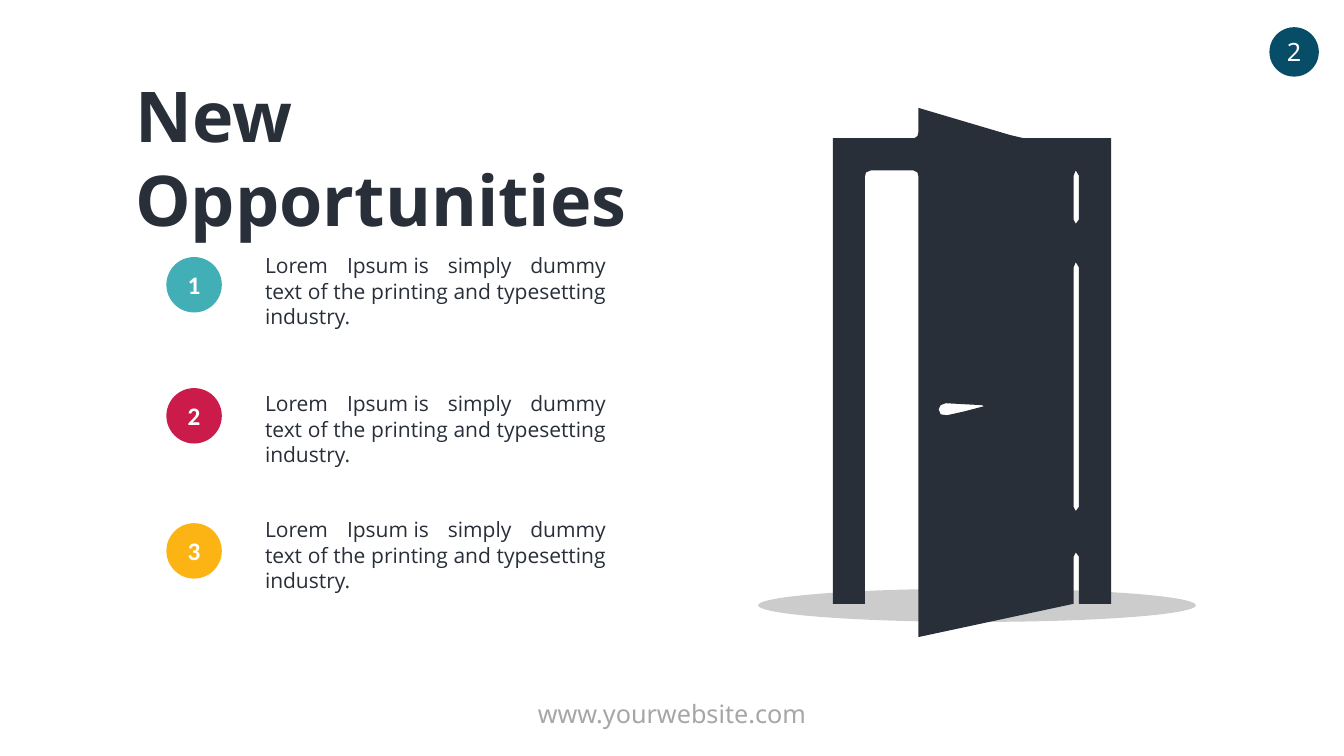
from dataclasses import dataclass
from lxml import etree
from pptx import Presentation
from pptx.dml.color import RGBColor
from pptx.enum import shapes, text
from pptx.oxml import ns
from pptx.util import Inches, Pt


@dataclass(frozen=True)
class Theme:
    ink: str = "282F39"
    white: str = "FFFFFF"
    badge: str = "074D67"
    grey: str = "A6A6A6"
    shade: str = "000000"
    head: str = "Noto Sans"
    body: str = "Open Sans"
    digit: str = "Calibri"
    big: int = 50
    mid: int = 18
    small: int = 15


T = Theme()

# Content
TITLE = "New Opportunities"
LOREM = ("Lorem Ipsum\u00a0is simply dummy text of the printing "
         "and typesetting industry.")
SITE = "www.yourwebsite.com"
PAGE = "2"
ITEMS = [  # circle colour, circle top, text top
    ("42AFB6", 2.55, 2.46),
    ("CB1B4A", 3.85, 3.83),
    ("FCB414", 5.19, 5.08),
]

# Door: frame and leaf, then the gaps by the hinges and the handle
FRAME = [
    (8.58, 5.99), (8.26, 5.99), (8.26, 1.37), (9.07, 1.37), (9.1, 1.35),
    (9.11, 1.31), (9.11, 1.07), (10.02, 1.34), (10.15, 1.37), (11.02, 1.37),
    (11.02, 5.99), (10.7, 5.99), (10.7, 5.52), (10.67, 5.48), (10.65, 5.52),
    (10.65, 5.99), (9.11, 6.32), (9.11, 1.75), (9.1, 1.71), (9.06, 1.69),
    (8.64, 1.69), (8.59, 1.71), (8.58, 1.75),
]
HANDLE = [
    (9.76, 4.03), (9.74, 4.02), (9.38, 4), (9.33, 4.02), (9.31, 4.06),
    (9.33, 4.11), (9.39, 4.12), (9.57, 4.08),
]
GAPS = [(1.69, 2.22), (2.6, 5.07)]  # top, bottom


def gap(top, end):
    left, mid, right = 10.65, 10.67, 10.7
    return [(mid, top), (left, top + 0.05), (left, end - 0.04),
            (mid, end), (right, end - 0.04), (right, top + 0.05)]


# Helpers
def color(hue):
    return RGBColor.from_string(hue)


def write(box, words, font, size, hue, bold=False, align="LEFT", wrap=True):
    frame = box.text_frame
    frame.text = words
    frame.word_wrap = wrap
    para = frame.paragraphs[0]
    para.alignment = getattr(text.PP_ALIGN, align)
    face = para.runs[0].font
    face.name, face.size, face.bold = font, Pt(size), bold
    face.color.rgb = color(hue)


def paint(shape, hue):
    shape.shadow.inherit = False
    shape.fill.solid()
    shape.fill.fore_color.rgb = color(hue)
    shape.line.fill.background()


def oval(left, top, wide, high, hue):
    shape = slide.shapes.add_shape(
        shapes.MSO_SHAPE.OVAL, *map(Inches, (left, top, wide, high)))
    paint(shape, hue)
    shape.text_frame.vertical_anchor = text.MSO_ANCHOR.MIDDLE
    return shape


def label(left, top, wide, high, *args, **keys):
    box = slide.shapes.add_textbox(*map(Inches, (left, top, wide, high)))
    write(box, *args, **keys)
    box.text_frame.auto_size = text.MSO_AUTO_SIZE.SHAPE_TO_FIT_TEXT


def trace(outlines):
    dots = [[(Inches(x), Inches(y)) for x, y in line] for line in outlines]
    pen = slide.shapes.build_freeform(*dots[0][0], scale=1.0)
    for k, line in enumerate(dots):
        if k:
            pen.move_to(*line[0])
        pen.add_line_segments(line[1:], close=True)
    return pen.convert_to_shape()


# Slide
deck = Presentation()
deck.slide_width, deck.slide_height = Inches(13.33), Inches(7.5)
slide = deck.slides.add_slide(deck.slide_layouts[5])

# Title
title = slide.shapes.title
title.left, title.top = Inches(1.24), Inches(0.67)
title.width, title.height = Inches(6.16), Inches(0.94)
write(title, TITLE, T.head, T.big, T.ink, bold=True)
title.text_frame.vertical_anchor = text.MSO_ANCHOR.TOP
title.text_frame.auto_size = text.MSO_AUTO_SIZE.SHAPE_TO_FIT_TEXT

# Numbered points
for num, (hue, top, row) in enumerate(ITEMS, 1):
    label(2.53, row, 3.58, 0.86, LOREM, T.body, T.small, T.ink,
          align="JUSTIFY")
    dot = oval(1.65, top, 0.55, 0.55, hue)
    write(dot, str(num), T.digit, T.mid, T.white, bold=True, align="CENTER")

# Door on its soft shadow
floor = oval(7.52, 5.84, 4.34, 0.33, T.shade)
tint = floor.fill._xPr.find(".//" + ns.qn("a:srgbClr"))
etree.SubElement(tint, ns.qn("a:alpha")).set("val", "20000")
door = trace([FRAME, HANDLE] + [gap(*ends) for ends in GAPS])
paint(door, T.ink)

# Page badge and footer
badge = oval(12.59, 0.27, 0.49, 0.49, T.badge)
write(badge, PAGE, T.head, T.mid, T.white, align="CENTER", wrap=False)
label(0, 6.88, 13.33, 0.4, SITE, T.head, T.mid, T.grey, align="CENTER")

deck.save("out.pptx")
